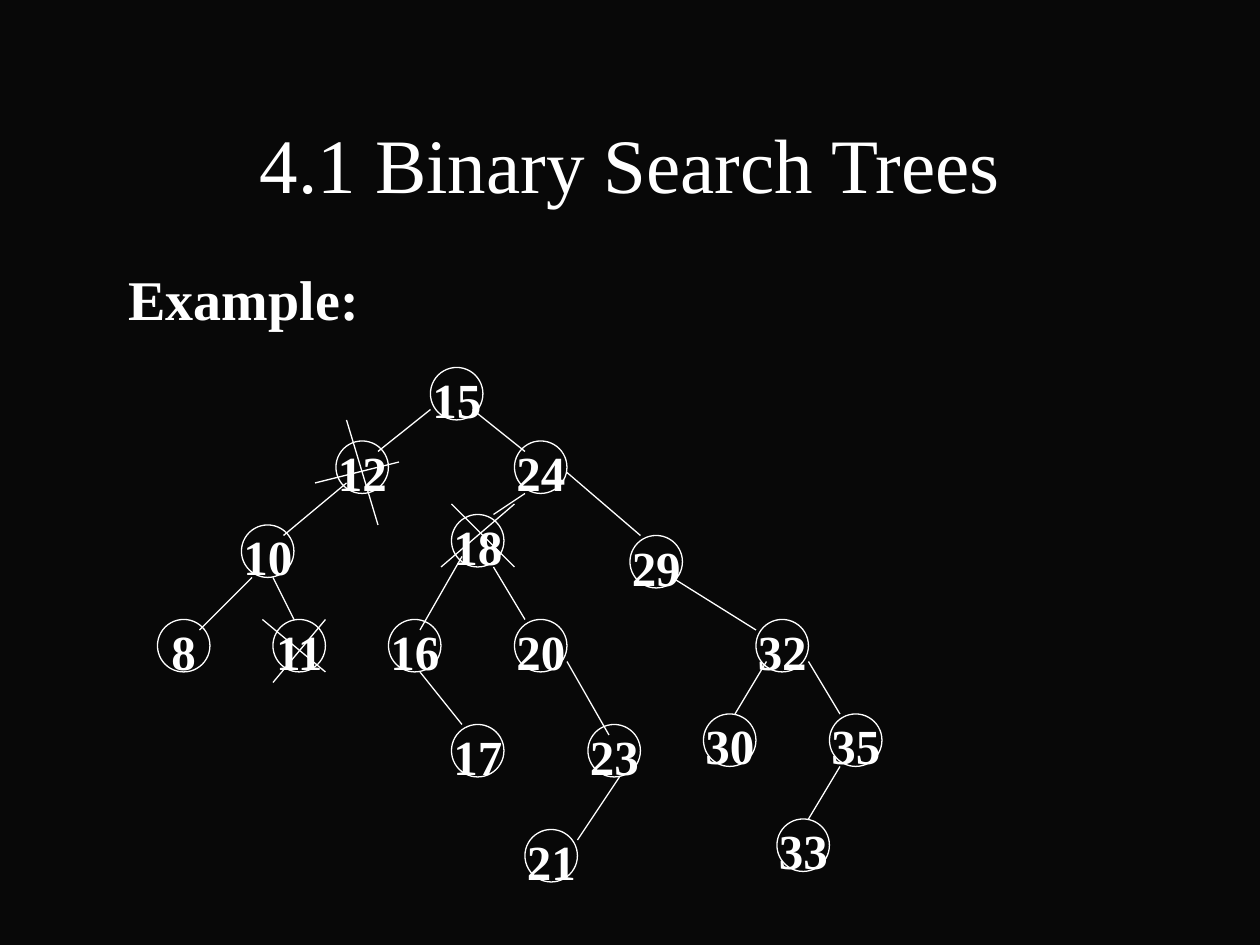
from dataclasses import dataclass

import lxml.etree
import pptx
import pptx.dml.color
import pptx.enum.shapes
import pptx.enum.text
import pptx.oxml.ns
import pptx.util

Inches = pptx.util.Inches
Align = pptx.enum.text.PP_ALIGN
Anchor = pptx.enum.text.MSO_ANCHOR


@dataclass(frozen=True)
class Theme:
    background: str = "080808"
    ink: str = "FFFFFF"
    font: str = "Times New Roman"
    title_size: int = 44
    body_size: int = 32
    node_size: int = 28
    line_width: float = 0.75


# Tree geometry counts in grid steps of a twelfth of an inch
GRID = 1 / 12
NODE_STEPS = 5
LABEL_WIDTH, LABEL_HEIGHT, LABEL_DROP = 0.51, 0.53, 0.04

# Key of each node: left and top of its circle
NODES = {
    15: (41, 35), 12: (32, 42), 24: (49, 42), 10: (23, 50), 8: (15, 59),
    11: (26, 59), 18: (43, 49), 16: (37, 59), 17: (43, 69), 20: (49, 59),
    29: (60, 51), 23: (56, 69), 21: (50, 79), 32: (72, 59), 30: (67, 68),
    35: (79, 68), 33: (74, 78),
}

# Start and end of each line: x1, y1, x2, y2
EDGES = [
    (41, 39, 36, 43), (33, 46, 27, 51), (24, 55, 19, 60), (26, 55, 28, 59),
    (45, 39, 50, 43), (50, 47, 47, 49), (44, 53, 40, 60), (40, 64, 44, 69),
    (54, 45, 61, 51), (64, 55, 72, 60), (77, 63, 80, 68), (47, 54, 50, 59),
    (54, 63, 58, 70), (59, 74, 55, 80), (73, 63, 70, 68), (80, 73, 77, 78),
]
DELETION_MARKS = [
    (31, 59, 26, 65), (25, 59, 31, 64),  # 11
    (38, 44, 30, 46), (33, 40, 36, 50),  # 12
    (49, 48, 42, 54), (43, 48, 49, 54),  # 18
]


def rgb(value):
    return pptx.dml.color.RGBColor.from_string(value)


def add_element(parent, tag):
    lxml.etree.SubElement(parent, pptx.oxml.ns.qn(tag))


def write_text(shape, text, *, font, size, color, bold=False, align=Align.LEFT,
               anchor=Anchor.TOP, wrap=True, top_inset=0.05, indent=None):
    """Fill a shape with one formatted paragraph."""
    frame = shape.text_frame
    frame.auto_size = pptx.enum.text.MSO_AUTO_SIZE.NONE
    frame.word_wrap = wrap
    frame.vertical_anchor = anchor
    frame.margin_left = frame.margin_right = frame.margin_bottom = Inches(0.05)
    frame.margin_top = Inches(top_inset)
    para = frame.paragraphs[0]
    para.alignment = align
    para.space_before = pptx.util.Pt(0)
    if indent is not None:
        properties = para._p.get_or_add_pPr()
        properties.set("marL", str(Inches(indent)))
        properties.set("indent", "0")
        add_element(properties, "a:buNone")
    span = para.add_run()
    span.text = text
    span.font.name = font
    span.font.size = pptx.util.Pt(size)
    span.font.bold = bold
    span.font.color.rgb = rgb(color)


class TreeSlide:
    def __init__(self, deck, theme):
        self.theme = theme
        self.page = deck.slides.add_slide(deck.slide_layouts[1])
        fill = self.page.background.fill
        fill.solid()
        fill.fore_color.rgb = rgb(theme.background)

    def text(self, shape, text, **style):
        write_text(shape, text, font=self.theme.font, color=self.theme.ink, **style)

    def outline(self, line):
        line.color.rgb = rgb(self.theme.ink)
        line.width = pptx.util.Pt(self.theme.line_width)

    def placeholder(self, box, left, top, width, height, text, **style):
        box.left, box.top = Inches(left), Inches(top)
        box.width, box.height = Inches(width), Inches(height)
        self.text(box, text, **style)

    def title(self, text):
        self.placeholder(self.page.shapes.title, 0.75, 0.67, 8.5, 1.25, text,
                         size=self.theme.title_size, align=Align.CENTER,
                         anchor=Anchor.MIDDLE)

    def body(self, text):
        self.placeholder(self.page.placeholders[1], 0.75, 2, 8.5, 5, text,
                         size=self.theme.body_size, bold=True,
                         top_inset=0.1, indent=0.22)

    def node(self, key, column, row):
        """Group a circle with its centred key."""
        group = self.page.shapes.add_group_shape()
        left, top, side = column * GRID, row * GRID, NODE_STEPS * GRID
        circle = group.shapes.add_shape(
            pptx.enum.shapes.MSO_SHAPE.OVAL,
            Inches(left), Inches(top), Inches(side), Inches(side))
        circle.shadow.inherit = False
        circle.fill.background()
        self.outline(circle.line)
        label = group.shapes.add_textbox(
            Inches(left + (side - LABEL_WIDTH) / 2),
            Inches(top + (side - LABEL_HEIGHT) / 2 + LABEL_DROP),
            Inches(LABEL_WIDTH), Inches(LABEL_HEIGHT))
        self.text(label, str(key), size=self.theme.node_size, bold=True,
                  align=Align.CENTER, anchor=Anchor.MIDDLE, wrap=False)

    def line(self, *steps):
        connector = self.page.shapes.add_connector(
            pptx.enum.shapes.MSO_CONNECTOR.STRAIGHT,
            *(Inches(step * GRID) for step in steps))
        self.outline(connector.line)
        add_element(connector._element.find(pptx.oxml.ns.qn("p:spPr")), "a:effectLst")


def main():
    deck = pptx.Presentation()
    deck.slide_width, deck.slide_height = Inches(10), Inches(7.5)
    slide = TreeSlide(deck, Theme())

    # Headings
    slide.title("4.1 Binary Search Trees")
    slide.body("Example:")

    # Tree, with the deleted nodes crossed out
    for key, (column, row) in NODES.items():
        slide.node(key, column, row)
    for steps in EDGES + DELETION_MARKS:
        slide.line(*steps)

    deck.save("out.pptx")


if __name__ == "__main__":
    main()
